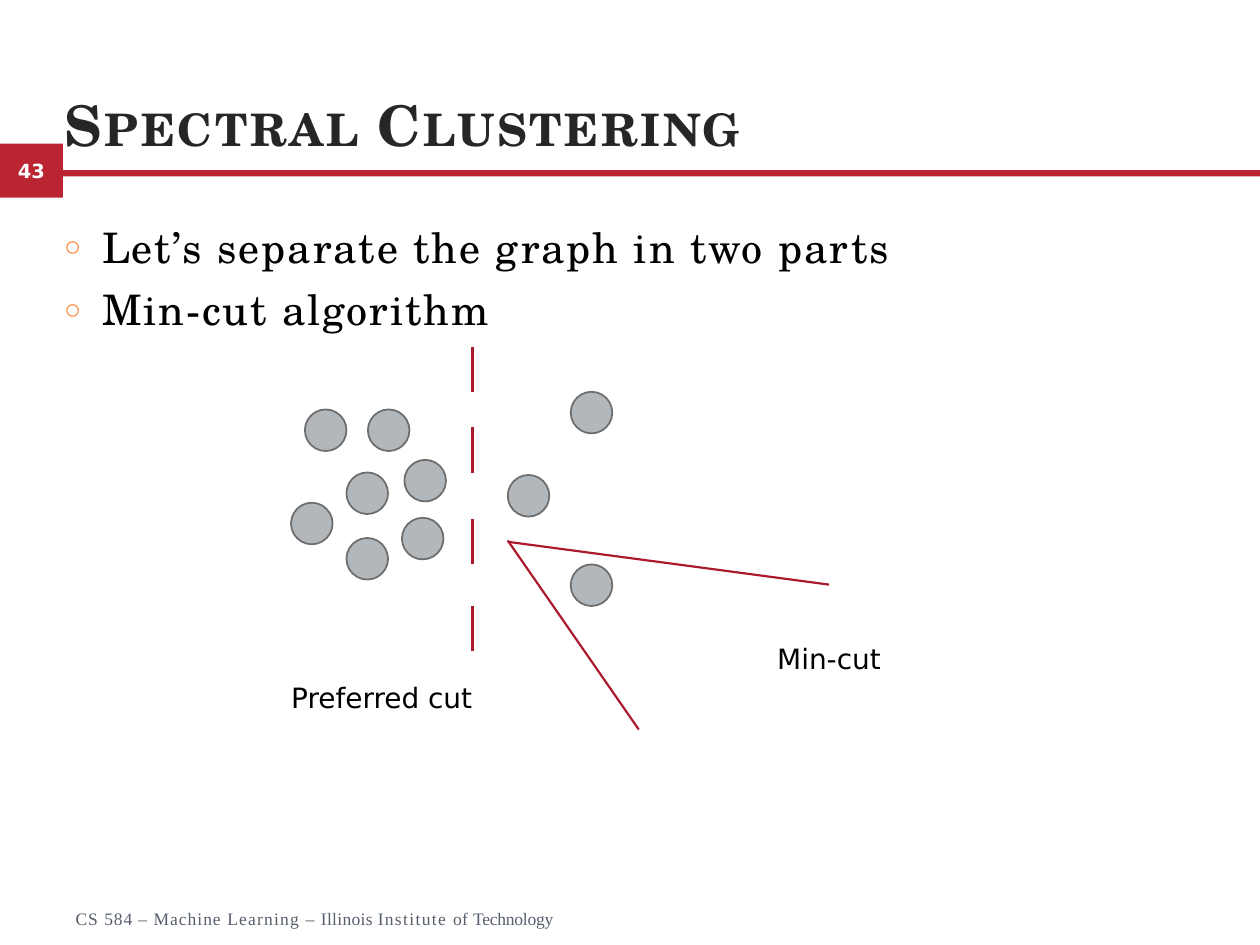
from lxml import etree
from pptx import Presentation
from pptx.dml.color import RGBColor
from pptx.enum import shapes, text
from pptx.oxml import ns
from pptx.util import Inches, Pt

RED = RGBColor(0xBB, 0x25, 0x32)
CUT_RED = RGBColor(0xAB, 0x19, 0x2D)
NODE_GREY = RGBColor(0xB2, 0xB7, 0xBB)
NODE_EDGE = RGBColor(0x6D, 0x6D, 0x6D)
TITLE_GREY = RGBColor(0x26, 0x26, 0x26)
FOOTER_GREY = RGBColor(0x56, 0x5F, 0x6C)
BLACK = RGBColor(0, 0, 0)
WHITE = RGBColor(0xFF, 0xFF, 0xFF)
BULLET_ORANGE = RGBColor(0xFD, 0x85, 0x37)

TITLE = dict(name="TeX Gyre Schola", size=Pt(32), bold=True, color=TITLE_GREY)
BODY = dict(name="TeX Gyre Schola", size=Pt(24), color=BLACK)
FOOTER = dict(name="Times New Roman", size=Pt(10), color=FOOTER_GREY)
LABEL = dict(name="DejaVu Sans", size=Pt(16), color=BLACK)
NUMBER = dict(name="DejaVu Sans", size=Pt(11.1), bold=True, color=WHITE)

NODE_SIZE = 0.33
LEFT_CLUSTER = [(2.42, 3.25), (2.75, 3.75), (2.31, 3.99), (2.75, 4.27),
                (3.19, 4.11), (3.21, 3.65), (2.92, 3.25)]
RIGHT_CLUSTER = [(4.53, 4.48), (4.03, 3.77), (4.53, 3.11)]
PREFERRED_X, DASH_LENGTH = 3.75, 0.36
DASH_TOPS = [2.75, 3.39, 4.12, 4.81]
MIN_CUT = [((4.03, 4.3), (6.58, 4.64)), ((4.03, 4.29), (5.07, 5.79))]
FOOTER_WORDS = [("CS ", 0.6), ("584 ", 0.5), ("– Machine ", 0.6),
                ("Learning ", 0.7), ("– ", 0.6), ("Illinois ", 0.2),
                ("Institute ", 0.8), ("of ", 0.2), ("Technology", -0.1)]


def add_run(paragraph, words, style, spacing=0, **attributes):
    """Add styled words; spacing is the letter spacing in points."""
    run = paragraph.add_run()
    run.text = words
    for key, value in style.items():
        if key == "color":
            run.font.color.rgb = value
        else:
            setattr(run.font, key, value)
    properties = run.font._element
    if spacing:
        properties.set("spc", str(round(spacing * 100)))
    for key, value in attributes.items():
        properties.set(key, value)


def place(box, left, top, width, height):
    box.left, box.top = Inches(left), Inches(top)
    box.width, box.height = Inches(width), Inches(height)


def set_frame(frame, **values):
    """Remove the insets, then apply the given frame values."""
    defaults = dict(margin_left=0, margin_top=0, margin_right=0,
                    margin_bottom=0, word_wrap=True,
                    auto_size=text.MSO_AUTO_SIZE.NONE)
    for key, value in {**defaults, **values}.items():
        setattr(frame, key, value)


def add_bullet(paragraph):
    properties = paragraph._p.get_or_add_pPr()
    properties.set("marL", str(Inches(0.31)))
    properties.set("indent", str(Inches(-0.3)))

    def add(parent, tag, **attributes):
        return etree.SubElement(parent, ns.qn(tag), attributes)

    add(add(properties, "a:buClr"), "a:srgbClr", val=str(BULLET_ORANGE))
    add(properties, "a:buSzPct", val="68000")
    add(properties, "a:buChar", char="○")
    add(add(properties, "a:tabLst"), "a:tab", pos=str(Inches(0.31)), algn="l")


def add_shape(slide, kind, left, top, width, height, fill, edge=None):
    shape = slide.shapes.add_shape(kind, *map(Inches, (left, top, width, height)))
    shape.shadow.inherit = False
    shape.fill.solid()
    shape.fill.fore_color.rgb = fill
    if edge is None:
        shape.line.fill.background()
    else:
        shape.line.color.rgb = edge
        shape.line.width = Pt(1)
    return shape


def add_cut_line(slide, start, end):
    line = slide.shapes.add_connector(shapes.MSO_CONNECTOR.STRAIGHT,
                                      *map(Inches, (*start, *end)))
    line.line.color.rgb = CUT_RED
    line.line.width = Pt(1.25)
    etree.SubElement(line._element.spPr, ns.qn("a:effectLst"))


def add_label(slide, words, center, top, width):
    """Add a one-line label, centred on the given x position."""
    label = slide.shapes.add_textbox(
        *map(Inches, (center - width / 2, top, width, 0.38)))
    set_frame(label.text_frame, margin_top=Inches(0.05))
    paragraph = label.text_frame.paragraphs[0]
    paragraph.alignment = text.PP_ALIGN.CENTER
    add_run(paragraph, words, LABEL)


def add_header(slide):
    rectangle = shapes.MSO_SHAPE.RECTANGLE
    tab = add_shape(slide, rectangle, 0, 1.14, 0.5, 0.43, RED)
    set_frame(tab.text_frame, vertical_anchor=text.MSO_ANCHOR.MIDDLE)
    number = tab.text_frame.paragraphs[0]
    number.alignment = text.PP_ALIGN.CENTER
    add_run(number, "43", NUMBER)
    add_shape(slide, rectangle, 0.5, 1.35, 9.5, 0.05, RED)

    title = slide.shapes.title
    place(title, 0.5, 0.7, 9, 0.55)
    set_frame(title.text_frame, margin_left=Inches(0.01),
              margin_top=Inches(0.01),
              vertical_anchor=text.MSO_ANCHOR.BOTTOM)
    heading = title.text_frame.paragraphs[0]
    heading.alignment = text.PP_ALIGN.LEFT
    add_run(heading, "Spectral Clustering", TITLE, 1.6, cap="small")


def fill_body(slide, points):
    body = slide.placeholders[1]
    place(body, 0.5, 1.67, 9.13, 0.95)
    frame = body.text_frame
    set_frame(frame, margin_top=Inches(0.01))
    for index, point in enumerate(points):
        paragraph = frame.add_paragraph() if index else frame.paragraphs[0]
        add_bullet(paragraph)
        paragraph.line_spacing = 1.2
        paragraph.space_before = Pt(1 if index else 0)
        add_run(paragraph, point, BODY, 1.1)


def add_footer(slide):
    footer = slide.shapes.add_textbox(*map(Inches, (0.59, 7.2, 3.94, 0.2)))
    set_frame(footer.text_frame, margin_left=Inches(0.01),
              margin_top=Inches(0.01))
    for words, spacing in FOOTER_WORDS:
        add_run(footer.text_frame.paragraphs[0], words, FOOTER, spacing)


def add_graph(slide):
    for left, top in LEFT_CLUSTER + RIGHT_CLUSTER:
        add_shape(slide, shapes.MSO_SHAPE.OVAL, left, top,
                  NODE_SIZE, NODE_SIZE, NODE_GREY, NODE_EDGE)
    for top in DASH_TOPS:
        add_cut_line(slide, (PREFERRED_X, top), (PREFERRED_X, top + DASH_LENGTH))
    for start, end in MIN_CUT:
        add_cut_line(slide, start, end)
    add_label(slide, "Min-cut", 6.58, 5.04, 1)
    add_label(slide, "Preferred cut", 3.03, 5.35, 1.6)


def main():
    deck = Presentation()
    deck.slide_width, deck.slide_height = Inches(10), Inches(7.5)
    slide = deck.slides.add_slide(deck.slide_layouts[1])
    add_header(slide)
    fill_body(slide, ["Let’s separate the graph in two parts",
                      "Min-cut algorithm"])
    add_footer(slide)
    add_graph(slide)
    deck.save("out.pptx")


if __name__ == "__main__":
    main()
